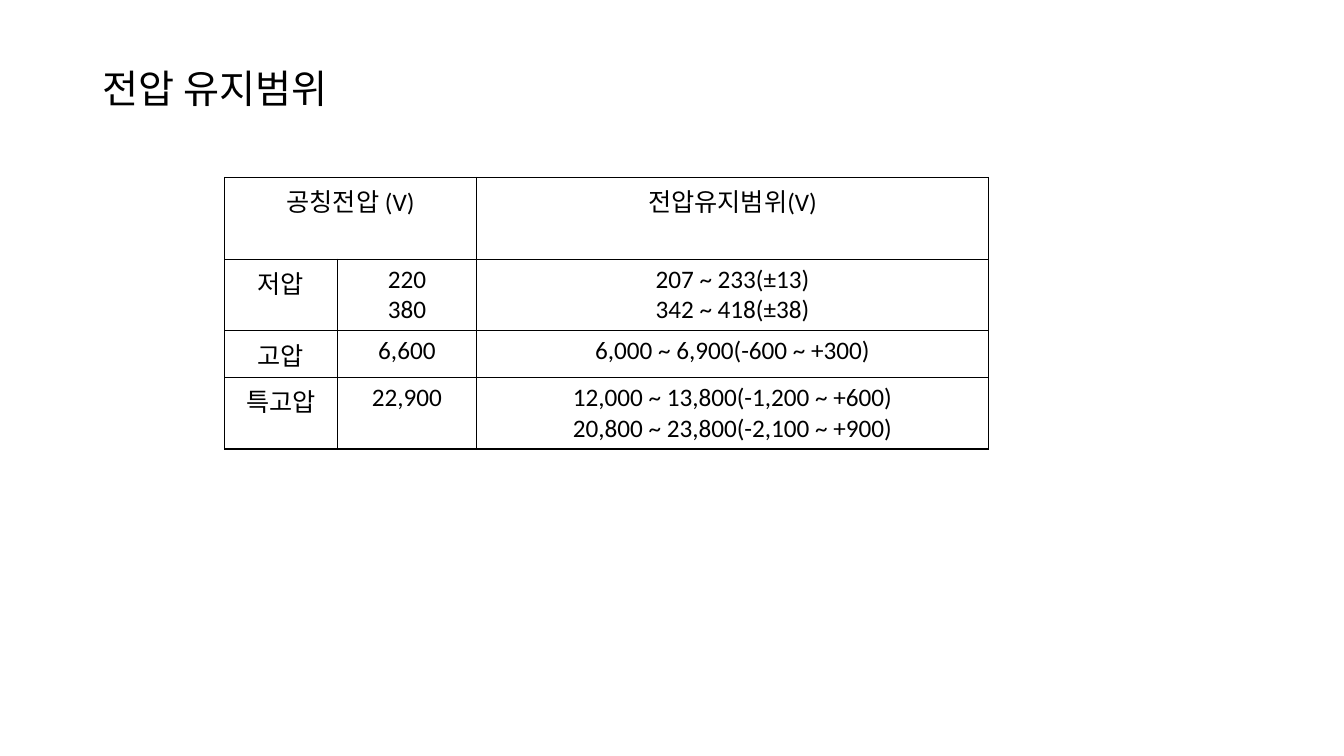
from lxml.etree import SubElement
from pptx import Presentation
from pptx.dml.color import RGBColor
from pptx.enum.text import MSO_ANCHOR, PP_ALIGN
from pptx.oxml.ns import qn
from pptx.util import Cm, Pt

BLACK = RGBColor(0x00, 0x00, 0x00)
FONT = "Calibri"

COLUMN_WIDTHS = [2.84, 3.51, 12.9]
HEADER_HEIGHT = 2.06
ROW_HEIGHT = 1.04
VOLTAGE_ROWS = [
    ["공칭전압 (V)", "", "전압유지범위(V)"],
    ["저압", "220\n380", "207 ~ 233(±13)\n342 ~ 418(±38)"],
    ["고압", "6,600", "6,000 ~ 6,900(-600 ~ +300)"],
    ["특고압", "22,900",
     "12,000 ~ 13,800(-1,200 ~ +600)\n20,800 ~ 23,800(-2,100 ~ +900)"],
]


def style_paragraph(paragraph, size, alignment):
    paragraph.alignment = alignment
    paragraph.font.name = FONT
    paragraph.font.size = Pt(size)
    paragraph.font.color.rgb = BLACK


def add_title(slide, left, top, width, height):
    title = slide.shapes.title
    title.left, title.top = Cm(left), Cm(top)
    title.width, title.height = Cm(width), Cm(height)
    title.text_frame.text = "전압 유지범위"
    title.text_frame.vertical_anchor = MSO_ANCHOR.MIDDLE
    heading = title.text_frame.paragraphs[0]
    heading.line_spacing = 0.9
    style_paragraph(heading, 28, PP_ALIGN.LEFT)


def add_borders(cell):
    properties = cell._tc.get_or_add_tcPr()
    for side in ("a:lnL", "a:lnR", "a:lnT", "a:lnB"):
        border = SubElement(properties, qn(side), w=str(Pt(1)))
        fill = SubElement(border, qn("a:solidFill"))
        SubElement(fill, qn("a:srgbClr"), val=str(BLACK))


def add_voltage_table(slide, left, top):
    heights = [HEADER_HEIGHT] + [ROW_HEIGHT] * (len(VOLTAGE_ROWS) - 1)
    table = slide.shapes.add_table(
        len(heights), len(COLUMN_WIDTHS), Cm(left), Cm(top),
        Cm(sum(COLUMN_WIDTHS)), Cm(sum(heights))).table
    table.first_row = False
    table.horz_banding = False
    for column, width in zip(table.columns, COLUMN_WIDTHS):
        column.width = Cm(width)
    for row, height, entries in zip(table.rows, heights, VOLTAGE_ROWS):
        row.height = Cm(height)
        for cell, entry in zip(row.cells, entries):
            cell.text = entry
            add_borders(cell)
            cell.fill.background()
            for paragraph in cell.text_frame.paragraphs:
                style_paragraph(paragraph, 18, PP_ALIGN.CENTER)
    table.cell(0, 0).merge(table.cell(0, 1))


def main():
    presentation = Presentation()
    presentation.slide_width = Cm(33.87)
    presentation.slide_height = Cm(19.05)
    slide = presentation.slides.add_slide(presentation.slide_layouts[5])
    add_title(slide, 2.34, 1.42, 29.21, 1.73)
    add_voltage_table(slide, 5.66, 4.47)
    presentation.save("out.pptx")


if __name__ == "__main__":
    main()
